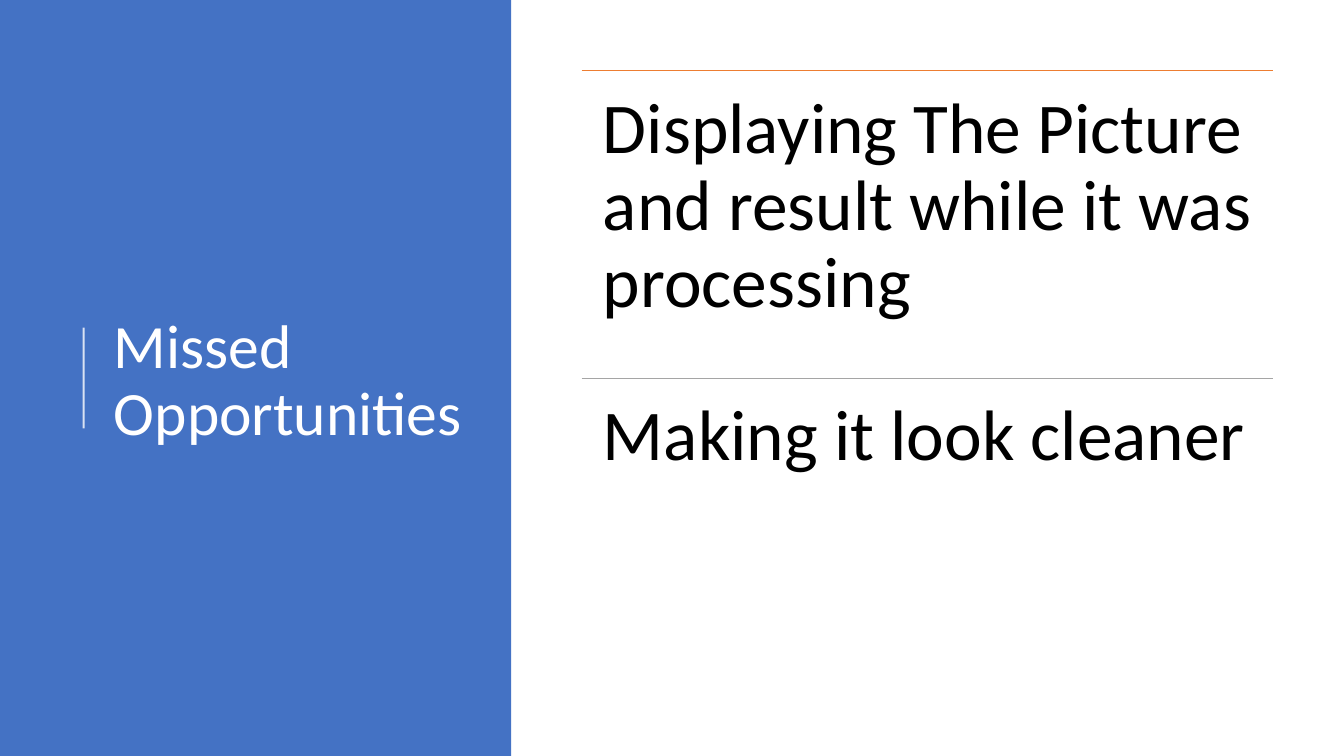
from dataclasses import dataclass

from lxml import etree
from pptx import Presentation
from pptx.dml.color import RGBColor
from pptx.enum.shapes import MSO_CONNECTOR, MSO_SHAPE
from pptx.enum.text import MSO_ANCHOR, MSO_AUTO_SIZE, PP_ALIGN
from pptx.oxml.ns import qn
from pptx.util import Inches, Pt


@dataclass(frozen=True)
class Theme:
    font: str = "Calibri"
    panel: str = "4472C4"
    light: str = "FFFFFF"
    text: str = "000000"
    orange: str = "ED7D31"
    gray: str = "A5A5A5"
    title_size: int = 44
    body_size: int = 51


THEME = Theme()
ITEMS = (
    ("Displaying The Picture and result while it was processing", THEME.orange),
    ("Making it look cleaner", THEME.gray),
)
LIST_LEFT, LIST_TOP, LIST_WIDTH, ROW_HEIGHT = 5.77, 0.7, 6.86, 3.05


def write_text(shape, text, size, color, anchor, inset=None):
    frame = shape.text_frame
    frame.text = text
    frame_format = {
        "word_wrap": True,
        "auto_size": MSO_AUTO_SIZE.NONE,
        "vertical_anchor": anchor,
    }
    if inset is not None:
        for side in ("left", "top", "right", "bottom"):
            frame_format[f"margin_{side}"] = Inches(inset)
    for name, value in frame_format.items():
        setattr(frame, name, value)
    paragraph = frame.paragraphs[0]
    paragraph.alignment = PP_ALIGN.LEFT
    paragraph.line_spacing = 0.9
    font = paragraph.runs[0].font
    for name, value in {"name": THEME.font, "size": Pt(size)}.items():
        setattr(font, name, value)
    font.color.rgb = RGBColor.from_string(color)


def add_panel(slide):
    """Add the colour panel behind the title."""
    panel = slide.shapes.add_shape(
        MSO_SHAPE.RECTANGLE, 0, 0, Inches(5.07), Inches(7.5))
    panel.shadow.inherit = False
    panel.fill.solid()
    panel.fill.fore_color.rgb = RGBColor.from_string(THEME.panel)
    panel.line.fill.background()
    slide.shapes.title.element.addprevious(panel.element)


def add_rule(slide, start, end, color, width, opacity=100):
    rule = slide.shapes.add_connector(
        MSO_CONNECTOR.STRAIGHT, *map(Inches, (*start, *end)))
    rule.line.width = Pt(width)
    rule.line.color.rgb = RGBColor.from_string(color)
    properties = rule.element.spPr
    etree.SubElement(properties, qn("a:effectLst"))
    if opacity < 100:
        color_element = properties.find(".//" + qn("a:srgbClr"))
        etree.SubElement(color_element, qn("a:alpha"), val=str(opacity * 1000))


def add_title(slide, text):
    title = slide.shapes.title
    position = {"left": 1.03, "top": 0.78, "width": 3.69, "height": 6.02}
    for name, value in position.items():
        setattr(title, name, Inches(value))
    write_text(title, text, THEME.title_size, THEME.light, MSO_ANCHOR.MIDDLE)


def add_item(slide, top, text, color):
    """Add one list row: a rule with text below it."""
    add_rule(slide, (LIST_LEFT, top), (LIST_LEFT + LIST_WIDTH, top), color, 0.5)
    box = slide.shapes.add_textbox(
        *map(Inches, (LIST_LEFT, top, LIST_WIDTH, ROW_HEIGHT)))
    write_text(box, text, THEME.body_size, THEME.text, MSO_ANCHOR.TOP, 0.21)


def main():
    presentation = Presentation()
    presentation.slide_width = Inches(13.33)
    presentation.slide_height = Inches(7.5)
    title_only = presentation.slide_layouts.get_by_name("Title Only")
    slide = presentation.slides.add_slide(title_only)
    add_panel(slide)
    add_title(slide, "Missed Opportunities")
    add_rule(slide, (0.83, 4.25), (0.83, 3.25), THEME.light, 1.5, opacity=80)
    for row, (text, color) in enumerate(ITEMS):
        add_item(slide, LIST_TOP + row * ROW_HEIGHT, text, color)
    presentation.save("out.pptx")


if __name__ == "__main__":
    main()
